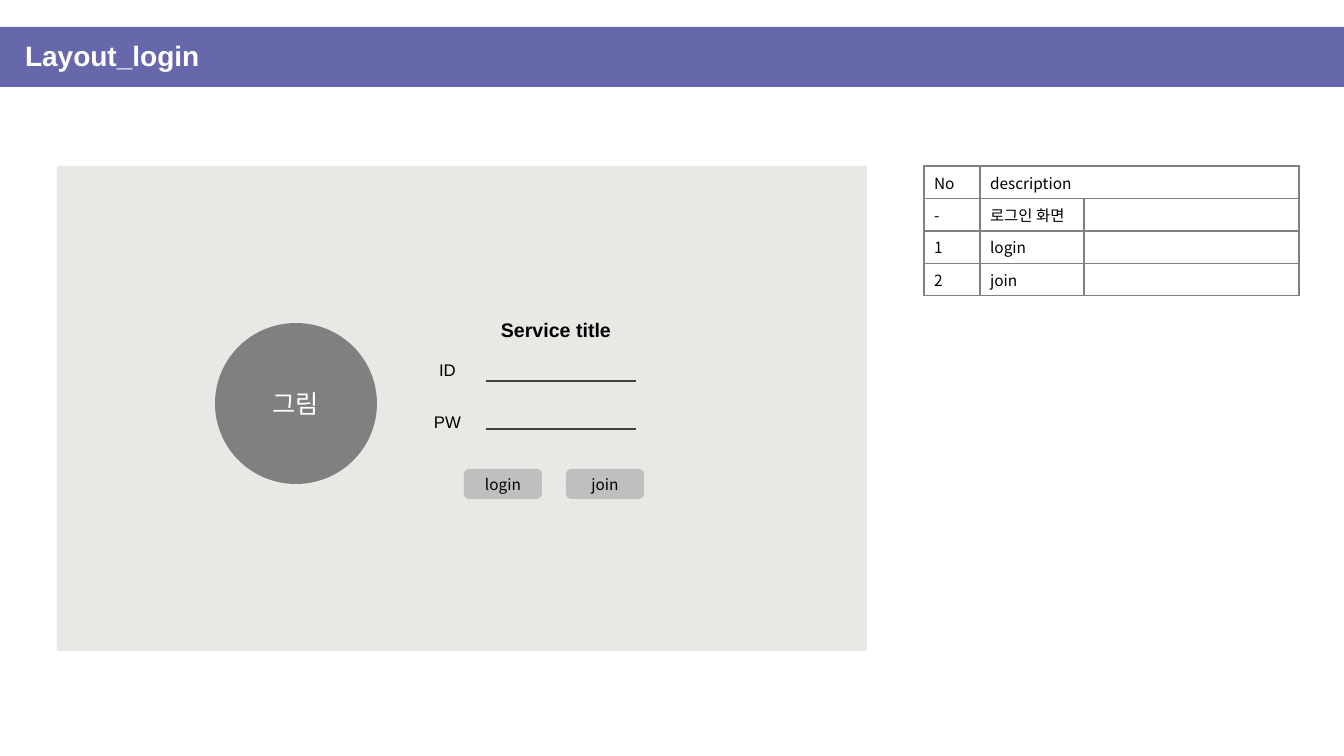
import pptx
import pptx.dml.color
import pptx.enum.shapes
import pptx.enum.text
import pptx.oxml
import pptx.oxml.ns
import pptx.oxml.xmlchemy
import pptx.util

RGB = pptx.dml.color.RGBColor
SHAPE = pptx.enum.shapes.MSO_SHAPE
ALIGN = pptx.enum.text.PP_ALIGN
MIDDLE = pptx.enum.text.MSO_ANCHOR.MIDDLE
qn = pptx.oxml.ns.qn

EMU_PER_PX = 914400 / 100.8
LATIN = "Arial"
KOREAN = "Noto Sans CJK KR"

PURPLE = RGB(0x67, 0x68, 0xAC)
PANEL = RGB(0xE8, 0xE8, 0xE5)
BUTTON = RGB(0xBF, 0xBF, 0xBF)
GRAY = RGB(0x80, 0x80, 0x80)
DARK = RGB(0x40, 0x40, 0x40)
BLACK = RGB(0, 0, 0)
WHITE = RGB(0xFF, 0xFF, 0xFF)

ROWS = [("No", "description", ""), ("-", "로그인 화면", ""),
        ("1", "login", ""), ("2", "join", "")]
COLUMN_WIDTHS = (56, 104, 215)
ROW_HEIGHT = 32


def px(n):
    """Turn pixels into EMU."""
    return pptx.util.Emu(round(n * EMU_PER_PX))


def box(*lengths):
    """Turn left, top, width and height into EMU."""
    return [px(n) for n in lengths]


def write(tf, text, size, font, color=BLACK, bold=False, align=ALIGN.LEFT, spacing=None):
    """Write one run into the first paragraph of a text frame."""
    p = tf.paragraphs[0]
    p.alignment = align
    if spacing:
        p.line_spacing = spacing
    r = p.add_run()
    r.text = text
    r.font.size = pptx.util.Pt(size)
    r.font.name = font
    r.font.bold = bold
    r.font.color.rgb = color
    ea = pptx.oxml.parse_xml(f'<a:ea {pptx.oxml.ns.nsdecls("a")} typeface="{font}"/>')
    r.font._element.find(qn("a:latin")).addnext(ea)


def add_title(s, text):
    """Turn the title placeholder into the full-width bar."""
    sp = s.shapes.title
    sp.left, sp.top, sp.width, sp.height = box(0, 27, 1344, 60)
    sp.fill.solid()
    sp.fill.fore_color.rgb = PURPLE
    tf = sp.text_frame
    tf.auto_size = pptx.enum.text.MSO_AUTO_SIZE.NONE
    tf.vertical_anchor = MIDDLE
    tf.margin_left = px(25)
    write(tf, text, 20, LATIN, WHITE, bold=True, spacing=0.9)


def add_block(s, kind, place, fill, text="", size=11, color=BLACK):
    """Add a filled shape without outline, with an optional centred label."""
    sp = s.shapes.add_shape(kind, *box(*place))
    sp.shadow.inherit = False
    sp.fill.solid()
    sp.fill.fore_color.rgb = fill
    sp.line.fill.background()
    if text:
        sp.text_frame.vertical_anchor = MIDDLE
        write(sp.text_frame, text, size, KOREAN, color, align=ALIGN.CENTER)


def add_label(s, place, text, size, bold=False):
    """Add a centred text box."""
    tf = s.shapes.add_textbox(*box(*place)).text_frame
    tf.word_wrap = True
    write(tf, text, size, LATIN, bold=bold, align=ALIGN.CENTER, spacing=1.5)


def add_input_line(s, left, right, y):
    """Add the horizontal rule of an input field."""
    line = s.shapes.add_connector(pptx.enum.shapes.MSO_CONNECTOR.STRAIGHT,
                                  *box(left, y, right, y))
    line.line.color.rgb = DARK
    line.line.width = pptx.util.Pt(1.5)
    line._element.spPr.append(
        pptx.oxml.parse_xml(f'<a:effectLst {pptx.oxml.ns.nsdecls("a")}/>'))


def set_borders(cell):
    """Give a cell a thin gray border on every side."""
    tcPr = cell._tc.get_or_add_tcPr()
    for i, side in enumerate(("lnL", "lnR", "lnT", "lnB")):
        tcPr.insert(i, pptx.oxml.parse_xml(
            f'<a:{side} {pptx.oxml.ns.nsdecls("a")} w="12700"><a:solidFill>'
            f'<a:srgbClr val="{GRAY}"/></a:solidFill></a:{side}>'))


def add_description_table(s, left, top):
    """Add the table that explains the numbered elements."""
    place = box(left, top, sum(COLUMN_WIDTHS), ROW_HEIGHT * len(ROWS))
    table = s.shapes.add_table(len(ROWS), len(COLUMN_WIDTHS), *place).table
    table.first_row = table.horz_banding = False
    for column, width in zip(table.columns, COLUMN_WIDTHS):
        column.width = px(width)
    for i, texts in enumerate(ROWS):
        table.rows[i].height = px(ROW_HEIGHT)
        for j, text in enumerate(texts):
            cell = table.cell(i, j)
            cell.vertical_anchor = MIDDLE
            cell.fill.solid()
            cell.fill.fore_color.rgb = WHITE
            set_borders(cell)
            if text:
                write(cell.text_frame, text, 11, KOREAN)
            else:
                cell.text_frame.paragraphs[0]._p.append(pptx.oxml.parse_xml(
                    f'<a:endParaRPr {pptx.oxml.ns.nsdecls("a")} sz="1100"/>'))
    table.cell(0, 1).merge(table.cell(0, 2))


def main():
    """Build the login layout slide."""
    prs = pptx.Presentation()
    prs.slide_width, prs.slide_height = px(1344), px(756)
    s = prs.slides.add_slide(prs.slide_layouts.get_by_name("Title Only"))

    add_title(s, "Layout_login")
    add_block(s, SHAPE.RECTANGLE, (57, 166, 810, 485), PANEL)
    add_description_table(s, 924, 166)
    add_label(s, (450, 301, 212, 42), "Service title", 14, bold=True)
    for text, top, line_y in (("ID", 345, 381), ("PW", 397, 429)):
        add_label(s, (421, top, 53, 38), text, 12)
        add_input_line(s, 486, 636, line_y)
    for text, left in (("login", 464), ("join", 566)):
        add_block(s, SHAPE.ROUNDED_RECTANGLE, (left, 469, 78, 30), BUTTON, text)
    add_block(s, SHAPE.OVAL, (215, 323, 162, 161), GRAY, "그림", 18, WHITE)

    prs.save("out.pptx")


main()
